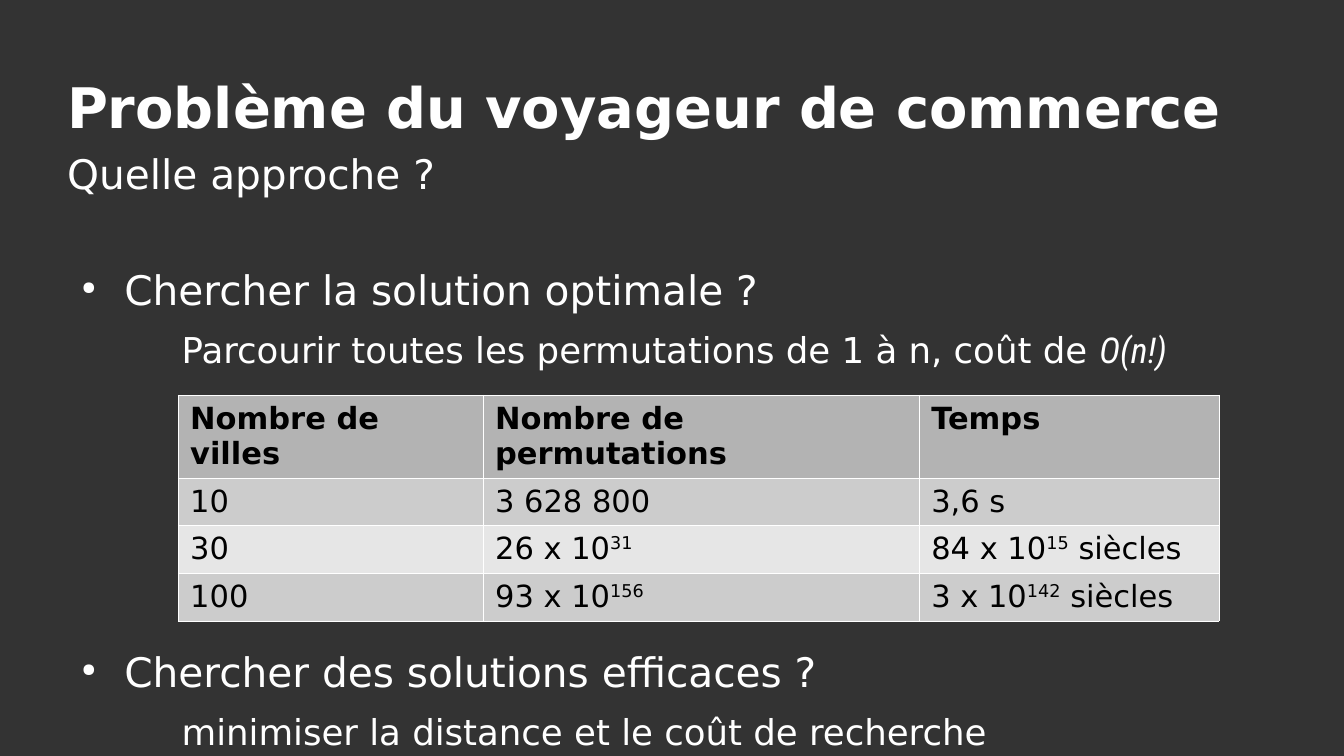
"""Build the travelling salesman slide with its table of costs."""
from lxml import etree
from pptx import Presentation
from pptx.dml.color import RGBColor
from pptx.enum import text
from pptx.oxml import ns
from pptx.util import Pt

HUES = {"back": "333333", "light": "FFFFFF", "dark": "000000",
        "head": "B3B3B3", "odd": "CCCCCC", "even": "E6E6E6"}


def style(run, hue, **form):
    """Apply font values to a run."""
    base = {"name": "DejaVu Sans", "bold": False, "italic": False}
    for key, val in {**base, **form}.items():
        setattr(run.font, key, val)
    run.font.color.rgb = RGBColor.from_string(HUES[hue])


def setup(shape, box, anchor):
    """Place a text shape and clear its margins."""
    for key, val in zip(("left", "top", "width", "height"), box):
        setattr(shape, key, Pt(val))
    frame = shape.text_frame
    form = {"margin_left": 0, "margin_top": 0, "margin_right": 0,
            "margin_bottom": 0, "word_wrap": True, "vertical_anchor": anchor,
            "auto_size": text.MSO_AUTO_SIZE.NONE}
    for key, val in form.items():
        setattr(frame, key, val)
    return frame


deck = Presentation()
deck.slide_width, deck.slide_height = Pt(793.44), Pt(446.4)
slide = deck.slides.add_slide(deck.slide_layouts[5])
slide.background.fill.solid()
slide.background.fill.fore_color.rgb = RGBColor.from_string(HUES["back"])

middle = text.MSO_ANCHOR.MIDDLE
sub = slide.shapes.add_textbox(0, 0, 0, 0)
heads = [
    (slide.shapes.title, (39.6, 37.4, 714.2, 50.4), "Problème du voyageur de commerce", 33, True),
    (sub, (39.6, 85, 714.2, 34.6), "Quelle approche ?", 24, False),
]
for shape, box, words, size, bold in heads:
    para = setup(shape, box, middle).paragraphs[0]
    para.alignment = text.PP_ALIGN.LEFT
    run = para.add_run()
    run.text = words
    style(run, "light", size=Pt(size), bold=bold)

body = setup(slide.shapes.add_textbox(0, 0, 0, 0),
             (39.6, 156.2, 714.2, 272.2), text.MSO_ANCHOR.TOP)
lines = [
    (0, 0, ["Chercher la solution optimale ?"]),
    (1, 8.5, ["Parcourir toutes les permutations de 1 à n, coût de ", "O(n!)"]),
    (0, 163, ["Chercher des solutions efficaces ?"]),
    (1, 8.5, ["minimiser la distance et le coût de recherche"]),
]
for num, (level, gap, parts) in enumerate(lines):
    para = body.add_paragraph() if num else body.paragraphs[0]
    para.level = level
    para.space_before = Pt(gap)
    props = para._p.get_or_add_pPr()
    props.set("marL", str(Pt(67.7 if level else 33.8)))
    props.set("indent", str(Pt(0 if level else -25.2)))
    if level:
        etree.SubElement(props, ns.qn("a:buNone"))
    else:
        tint = etree.SubElement(props, ns.qn("a:buClr"))
        etree.SubElement(tint, ns.qn("a:srgbClr"), val=HUES["light"])
        etree.SubElement(props, ns.qn("a:buSzPct"), val="45000")
        etree.SubElement(props, ns.qn("a:buChar"), char="●")
    for part in parts:
        run = para.add_run()
        run.text = part
        math = {"name": "Roboto Condensed", "italic": True} if part == "O(n!)" else {}
        style(run, "light", size=Pt(21 if level else 24), **math)

rows = [
    [["Nombre de villes"], ["Nombre de permutations"], ["Temps"]],
    [["10"], ["3 628 800"], ["3,6 s"]],
    [["30"], ["26 x 10", "31"], ["84 x 10", "15", " siècles"]],
    [["100"], ["93 x 10", "156"], ["3 x 10", "142", " siècles"]],
]
fills = ["head", "odd", "even", "odd"]
wide, high = [180, 257.5, 177.2], [49, 28, 28, 28]
grid = slide.shapes.add_table(4, 3, Pt(105.1), Pt(233.2), Pt(sum(wide)), Pt(sum(high))).table
for col, size in zip(grid.columns, wide):
    col.width = Pt(size)
for r, cells in enumerate(rows):
    grid.rows[r].height = Pt(high[r])
    for c, parts in enumerate(cells):
        cell = grid.cell(r, c)
        props = cell._tc.get_or_add_tcPr()
        for side in ("lnL", "lnR", "lnT", "lnB"):
            edge = etree.SubElement(props, ns.qn("a:" + side), w=str(Pt(0.06)))
            paint = etree.SubElement(edge, ns.qn("a:solidFill"))
            etree.SubElement(paint, ns.qn("a:srgbClr"), val=HUES["light"])
        cell.fill.solid()
        cell.fill.fore_color.rgb = RGBColor.from_string(HUES[fills[r]])
        for n, part in enumerate(parts):
            run = cell.text_frame.paragraphs[0].add_run()
            run.text = part
            style(run, "dark", size=Pt(18), bold=r == 0)
            if n == 1:
                run._r.get_or_add_rPr().set("baseline", "33000")

deck.save("out.pptx")
